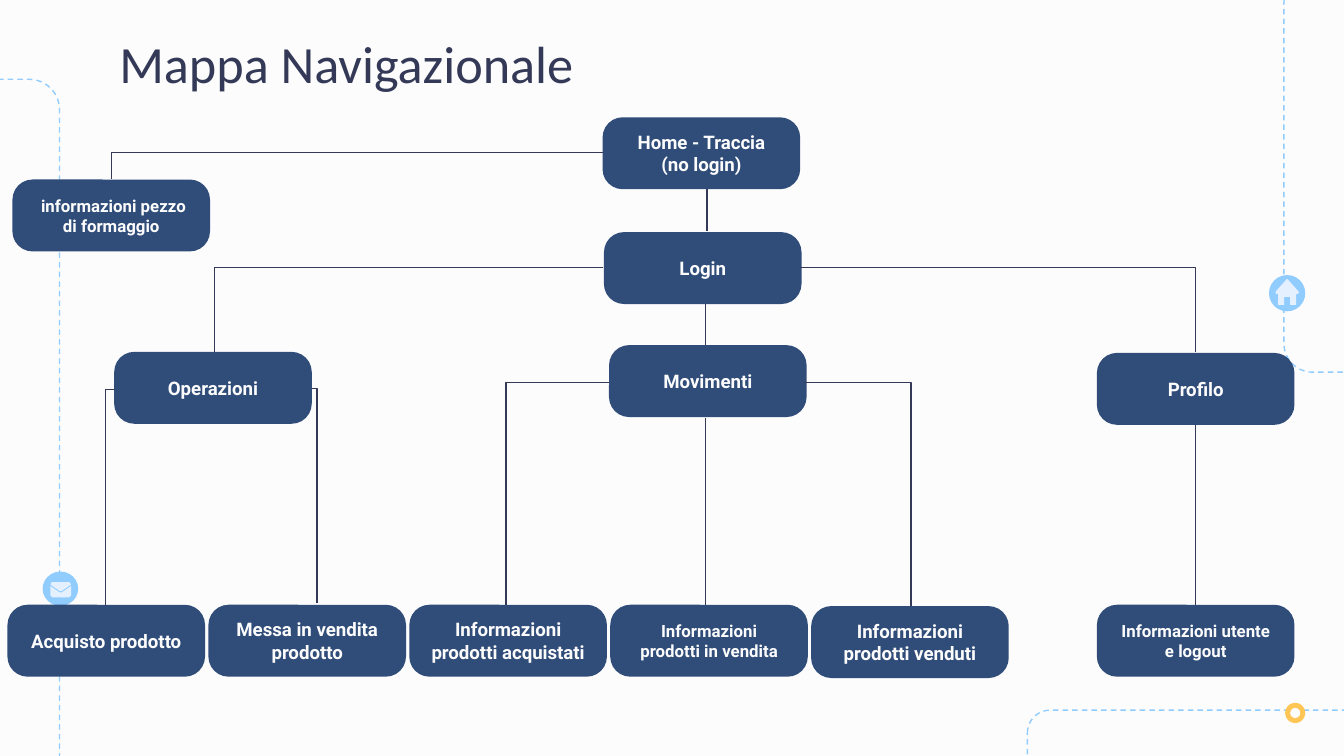
from collections import namedtuple

from lxml import etree
from pptx import Presentation
from pptx.dml.color import RGBColor
from pptx.enum.dml import MSO_LINE
from pptx.enum.shapes import MSO_CONNECTOR, MSO_SHAPE
from pptx.enum.text import MSO_ANCHOR, PP_ALIGN
from pptx.oxml.ns import qn
from pptx.util import Inches, Pt

ROUND, OVAL = MSO_SHAPE.ROUNDED_RECTANGLE, MSO_SHAPE.OVAL
ELBOW, STRAIGHT = MSO_CONNECTOR.ELBOW, MSO_CONNECTOR.STRAIGHT
DASH = MSO_LINE.DASH
LEFT, CENTER = PP_ALIGN.LEFT, PP_ALIGN.CENTER
TOP, MIDDLE = MSO_ANCHOR.TOP, MSO_ANCHOR.MIDDLE
BOTTOM_SIDE, TOP_SIDE = 2, 0

COLORS = {"paper": "FCFCFC", "ink": "333956", "card": "304C79",
          "sky": "91CCFF", "pale": "E5F0FF", "gold": "FFC655"}

# The slide is a 16:9 grid of square cells, 100 columns by 56.25 rows.
COLS, ROWS = 100, 56.25
CELL = Inches(10) / COLS
CARD_W, CARD_H = 14.7, 5.35
LEAF_STEP = 14.95

Box = namedtuple("Box", "x y w h")


def emu(cells):
    return round(cells * CELL)


def within(box, x, y, w, h):
    """Return the part of a box given by shares of its size."""
    return Box(box.x + x * box.w, box.y + y * box.h, w * box.w, h * box.h)


def rgb(name):
    return RGBColor.from_string(COLORS[name])


def paint(shape, fill):
    shape.shadow.inherit = False
    shape.fill.solid()
    shape.fill.fore_color.rgb = rgb(fill)
    shape.line.fill.background()


def add_form(slide, kind, box, fill):
    shape = slide.shapes.add_shape(kind, *map(emu, box))
    paint(shape, fill)
    return shape


def add_poly(slide, box, points, fill):
    """Draw a closed outline from points given as shares of the box."""
    spots = [(emu(box.x + x * box.w), emu(box.y + y * box.h)) for x, y in points]
    pen = slide.shapes.build_freeform(*spots[0])
    pen.add_line_segments(spots[1:])
    paint(pen.convert_to_shape(), fill)


def write(shape, text, size=10, font="Roboto", color="paper", bold=True,
          align=CENTER, anchor=MIDDLE):
    frame = shape.text_frame
    frame.word_wrap = True
    frame.vertical_anchor = anchor
    frame.margin_left = frame.margin_right = emu(1)
    frame.margin_top = frame.margin_bottom = emu(1)
    for i, part in enumerate(text.split("\n")):
        para = frame.add_paragraph() if i else frame.paragraphs[0]
        para.alignment = align
        run = para.add_run()
        run.text = part
        run.font.size = Pt(size)
        run.font.name = font
        run.font.bold = bold
        run.font.color.rgb = rgb(color)


def add_link(slide, kind, start, end):
    """Draw a line; an elbow runs across first, then down."""
    line = slide.shapes.add_connector(kind, *map(emu, start + end))
    line.line.color.rgb = rgb("ink")
    line.line.width = Pt(0.75)
    props = line._element.spPr
    if kind == ELBOW:
        props.find(qn("a:prstGeom")).set("prst", "bentConnector2")
    etree.SubElement(props, qn("a:effectLst"))
    return line


def add_track(slide, box, bend):
    """Draw a dashed loop that runs over the slide's edge."""
    track = slide.shapes.add_shape(ROUND, *map(emu, box))
    track.shadow.inherit = False
    track.adjustments[0] = bend
    track.fill.background()
    track.line.color.rgb = rgb("sky")
    track.line.width = Pt(0.75)
    track.line.dash_style = DASH


def add_mail(slide, box):
    add_form(slide, OVAL, box, "sky")
    flap = [(0.22, 0.38), (0.26, 0.31), (0.76, 0.31), (0.8, 0.38),
            (0.54, 0.57), (0.48, 0.57)]
    body = [(0.22, 0.42), (0.48, 0.61), (0.54, 0.61), (0.8, 0.42),
            (0.8, 0.7), (0.75, 0.75), (0.27, 0.75), (0.22, 0.7)]
    for points in (flap, body):
        add_poly(slide, box, points, "pale")


def add_home(slide, box):
    add_form(slide, OVAL, box, "sky")
    half = [(0, 0.1), (0.32, 0.46), (0.31, 0.52), (0.25, 0.52),
            (0.25, 0.82), (0.08, 0.82), (0.08, 0.6)]
    right = [(0.5 + x, y) for x, y in half]
    left = [(0.5 - x, y) for x, y in reversed(half[1:])]
    add_poly(slide, box, right + left, "pale")


def add_ring(slide, box):
    add_form(slide, OVAL, box, "gold")
    add_form(slide, OVAL, within(box, 0.25, 0.25, 0.5, 0.5), "paper")


def add_decor(slide, box):
    x, y = box.x, box.y
    add_track(slide, Box(x + 95.53, y - 1.9, 15.3, 29.6), 0.14)
    add_track(slide, Box(x + 76.45, y + 52.84, 31, 12.1), 0.14)
    add_track(slide, Box(x - 8.17, y + 5.9, 12.6, 53), 0.18)
    add_mail(slide, Box(x + 3.17, y + 42.53, 2.65, 2.55))
    add_home(slide, Box(x + 94.42, y + 20.47, 2.7, 2.7))
    add_ring(slide, Box(x + 95.62, y + 52.3, 1.5, 1.5))


def add_title(slide, box):
    field = slide.shapes.add_textbox(*map(emu, box))
    write(field, "Mappa Navigazionale", size=28, font="Calibri", color="ink",
          bold=False, align=LEFT, anchor=TOP)


def add_card(slide, box, text, size):
    card = add_form(slide, ROUND, box, "card")
    card.adjustments[0] = 0.28
    write(card, text, size=size)
    return card


def add_tree(slide, box):
    """Draw the page cards and the lines that join them."""
    nodes = [
        (44.84, 8.73, "Home - Traccia\n(no login)", 10),
        (0.93, 13.36, " informazioni pezzo di formaggio", 9),
        (44.94, 17.27, "Login", 10),
        (8.5, 26.18, "Operazioni", 10),
        (45.32, 25.68, "Movimenti", 10),
        (81.62, 26.26, "Profilo", 10),
        (81.62, 45, "Informazioni utente e logout", 9),
    ]
    leaves = [
        (45, "Acquisto prodotto", 10),
        (45, "Messa in vendita prodotto", 10),
        (45, "Informazioni\nprodotti acquistati", 10),
        (45, "Informazioni prodotti in vendita", 9),
        (45.1, "Informazioni prodotti venduti", 10),
    ]
    nodes += [(0.56 + i * LEAF_STEP, *leaf) for i, leaf in enumerate(leaves)]
    cards = {}
    for x, y, text, size in nodes:
        spot = Box(box.x + x, box.y + y, CARD_W, CARD_H)
        cards[text] = add_card(slide, spot, text, size)

    elbows = [(44.9, 11.33, 8.28, 13.35), (44.9, 19.9, 15.95, 26.2),
              (59.5, 19.9, 88.95, 26.2), (8.6, 29, 7.86, 45.1),
              (23.2, 28.9, 23.6, 44.9), (45.3, 28.45, 37.65, 45),
              (59.8, 28.45, 67.8, 45.1)]
    stems = [(52.6, 14.1, 52.6, 17.2), (52.5, 22.6, 52.5, 25.7),
             (52.5, 31.1, 52.5, 45)]
    for kind, group in ((ELBOW, elbows), (STRAIGHT, stems)):
        for x, y, to_x, to_y in group:
            add_link(slide, kind, (box.x + x, box.y + y),
                     (box.x + to_x, box.y + to_y))
    stem = add_link(slide, STRAIGHT, (box.x, box.y), (box.x, box.y))
    stem.begin_connect(cards["Profilo"], BOTTOM_SIDE)
    stem.end_connect(cards["Informazioni utente e logout"], TOP_SIDE)


def main():
    deck = Presentation()
    deck.slide_width, deck.slide_height = emu(COLS), emu(ROWS)
    slide = deck.slides.add_slide(deck.slide_layouts[6])
    slide.background.fill.solid()
    slide.background.fill.fore_color.rgb = rgb("paper")
    page = Box(0, 0, COLS, ROWS)
    add_decor(slide, page)
    add_title(slide, Box(7.9, 1.3, 84.3, 6.3))
    add_tree(slide, page)
    deck.save("out.pptx")


if __name__ == "__main__":
    main()
